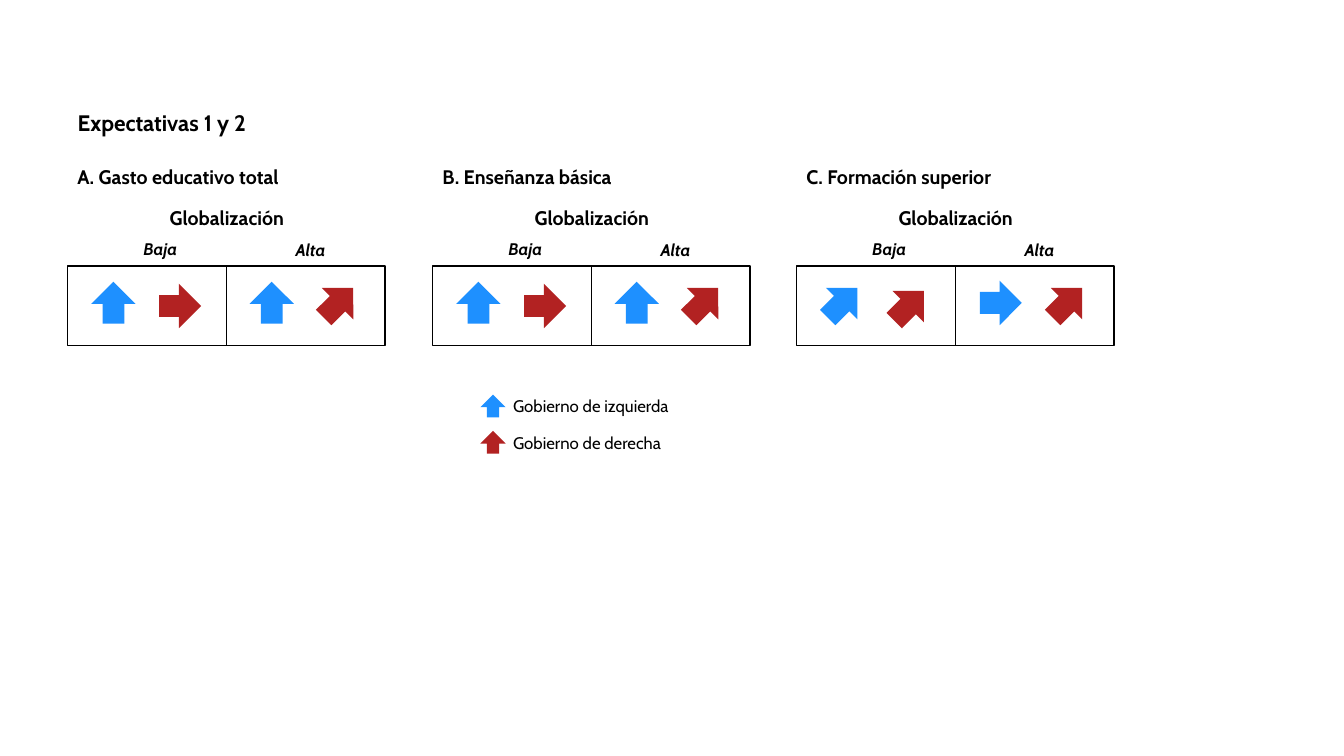
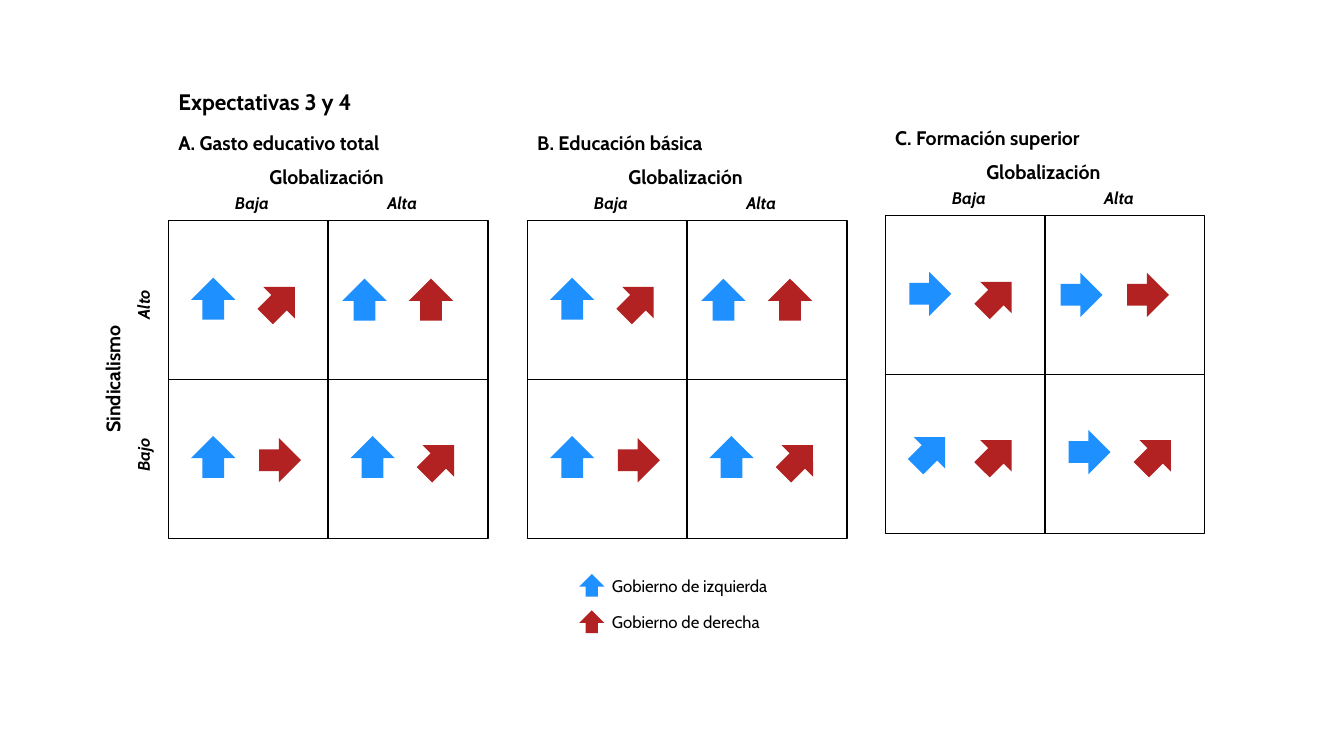
from dataclasses import dataclass
from itertools import product

from lxml.etree import SubElement
from pptx import Presentation
from pptx.dml.color import RGBColor
from pptx.enum.shapes import MSO_CONNECTOR as Connector, MSO_SHAPE as Shape
from pptx.enum.text import MSO_ANCHOR as Anchor, MSO_AUTO_SIZE as AutoSize, PP_ALIGN as Align
from pptx.oxml.ns import qn
from pptx.util import Emu, Pt

SCALE = 9144
FONT = "Cabin"
BLACK, LEFT_BLUE, RIGHT_RED = "000000", "1E90FF", "B22222"
TITLE_LAYOUT = 5
ARROW_SIZE, ARROW_STEP, LEGEND_SIZE, LEGEND_STEP = 39, 66, 20, 36
UP, DIAGONAL, FLAT = 0, 45, 90
LEGEND = [(LEFT_BLUE, "Gobierno de izquierda", 261), (RIGHT_RED, "Gobierno de derecha", 201)]


@dataclass
class PanelStyle:
    """Geometry shared by the panels of one slide, relative to the grid."""
    width: int
    height: int
    rows: int
    heading_rise: int
    axis_rise: int
    axis_left: int
    level_left: int
    level_rises: tuple
    offsets: list


SINGLE_ROW = PanelStyle(315, 79, 1, 105, 65, 85, 55, (32, 31),
                        [(26, 17, 20), (26, 17, 17)])
TWO_ROWS = PanelStyle(317, 315, 2, 94, 60, 84, 46, (33, 33),
                      [(25, 58, 61), (17, 59, 59), (25, 58, 61), (25, 58, 61)])

GLOBALIZATION = [
    ("A. Gasto educativo total", 67, 264, [(UP, FLAT), (UP, DIAGONAL)]),
    ("B. Enseñanza básica", 429, 264, [(UP, FLAT), (UP, DIAGONAL)]),
    ("C. Formación superior", 790, 264, [(DIAGONAL, DIAGONAL), (FLAT, DIAGONAL)]),
]
UNIONS = [
    ("A. Gasto educativo total", 167, 219,
     [(UP, DIAGONAL), (UP, UP), (UP, FLAT), (UP, DIAGONAL)]),
    ("B. Educación básica", 523, 219,
     [(UP, DIAGONAL), (UP, UP), (UP, FLAT), (UP, DIAGONAL)]),
    ("C. Formación superior", 878, 214,
     [(FLAT, DIAGONAL), (FLAT, FLAT), (DIAGONAL, DIAGONAL), (FLAT, DIAGONAL)]),
]


def px(*lengths):
    """Turn px lengths into EMU."""
    return [Emu(length * SCALE) for length in lengths]


def color(value):
    """Turn a hex string into a colour."""
    return RGBColor.from_string(value)


def write(frame, text, size, align, bold=False, italic=False):
    """Write one formatted paragraph into a text frame."""
    frame.text = text
    frame.word_wrap = True
    frame.vertical_anchor = Anchor.TOP
    paragraph = frame.paragraphs[0]
    paragraph.alignment = align
    font = paragraph.font
    font.name, font.size, font.bold, font.italic = FONT, Pt(size), bold, italic
    font.color.rgb = color(BLACK)


def add_label(slide, text, box, size=14, align=Align.CENTER, bold=True, italic=False, turn=0):
    """Add a text label in the given box."""
    label = slide.shapes.add_textbox(*px(*box))
    label.rotation = turn
    write(label.text_frame, text, size, align, bold, italic)
    label.text_frame.auto_size = AutoSize.SHAPE_TO_FIT_TEXT


def add_level(slide, text, left, top, turn=0):
    """Add the italic name of a low or high level."""
    add_label(slide, text, (left, top, 74, 30), 12, italic=True, turn=turn)


def add_arrow(slide, left, top, size, hue, turn=UP):
    """Add a government arrow turned to its expected direction."""
    arrow = slide.shapes.add_shape(Shape.UP_ARROW, *px(left, top, size, size))
    arrow.rotation = turn
    arrow.shadow.inherit = False
    arrow.fill.solid()
    arrow.fill.fore_color.rgb = color(hue)
    arrow.line.color.rgb = color(hue)
    arrow.line.width = Pt(1.5)
    outline = arrow._element.spPr.find(qn("a:ln"))
    SubElement(outline, qn("a:miter"), lim="800000")


def add_divider(slide, grid, start, end):
    """Join the middles of two opposite sides of a grid."""
    divider = slide.shapes.add_connector(Connector.STRAIGHT, *px(0, 0, 0, 0))
    divider.begin_connect(grid, start)
    divider.end_connect(grid, end)
    divider.line.color.rgb = color(BLACK)
    divider.line.width = Pt(1)
    SubElement(divider._element.spPr, qn("a:effectLst"))


def add_grid(slide, left, top, style):
    """Add the outlined grid with its dividers."""
    grid = slide.shapes.add_shape(Shape.RECTANGLE, *px(left, top, style.width, style.height))
    grid.shadow.inherit = False
    grid.fill.background()
    grid.line.color.rgb = color(BLACK)
    grid.line.width = Pt(1)
    add_divider(slide, grid, 0, 2)
    if style.rows > 1:
        add_divider(slide, grid, 1, 3)


def add_panel(slide, style, heading, left, top, directions):
    """Add a headed grid with a pair of arrows in each cell."""
    add_label(slide, heading, (left, top - style.heading_rise, 239, 34), align=Align.JUSTIFY)
    add_label(slide, "Globalización", (left + style.axis_left, top - style.axis_rise, 146, 34))
    for column, (level, rise) in enumerate(zip(("Baja", "Alta"), style.level_rises)):
        add_level(slide, level, left + style.level_left + column * 149, top - rise)
    add_grid(slide, left, top, style)
    cells = product(range(style.rows), range(2))
    for (row, column), turns, (inset, *drops) in zip(cells, directions, style.offsets):
        cell_left = left + column * style.width // 2
        cell_top = top + row * style.height // style.rows
        for side, (hue, turn, drop) in enumerate(zip((LEFT_BLUE, RIGHT_RED), turns, drops)):
            add_arrow(slide, cell_left + inset + side * ARROW_STEP, cell_top + drop,
                      ARROW_SIZE, hue, turn)


def add_legend(slide, left, top):
    """Add the key to the two governments."""
    for row, (hue, name, width) in enumerate(LEGEND):
        row_top = top + row * LEGEND_STEP
        add_arrow(slide, left, row_top, LEGEND_SIZE, hue)
        add_label(slide, name, (left + LEGEND_SIZE, row_top - 5, width, 30),
                  12, Align.LEFT, bold=False)


def add_union_axis(slide, left, top):
    """Add the vertical axis of union strength."""
    add_label(slide, "Sindicalismo", (left, top + 72, 146, 34), turn=270)
    for row, level in enumerate(("Alto", "Bajo")):
        add_level(slide, level, left + 66, top + row * 149, turn=270)


def add_expectations(deck, title, title_at, style, panels, legend_at):
    """Add a slide with its title, panels and legend."""
    slide = deck.slides.add_slide(deck.slide_layouts[TITLE_LAYOUT])
    heading = slide.shapes.title
    heading.left, heading.top, heading.width, heading.height = px(*title_at, 211, 37)
    write(heading.text_frame, title, 16, Align.LEFT, bold=True)
    heading.text_frame.auto_size = AutoSize.NONE
    for panel in panels:
        add_panel(slide, style, *panel)
    add_legend(slide, *legend_at)
    return slide


def main():
    """Build and save the deck."""
    deck = Presentation()
    deck.slide_width, deck.slide_height = px(1333, 750)
    add_expectations(deck, "Expectativas 1 y 2", (67, 103), SINGLE_ROW, GLOBALIZATION, (479, 393))
    unions = add_expectations(deck, "Expectativas 3 y 4", (167, 82), TWO_ROWS, UNIONS, (577, 571))
    add_union_axis(unions, 39, 287)
    deck.save("out.pptx")


if __name__ == "__main__":
    main()
